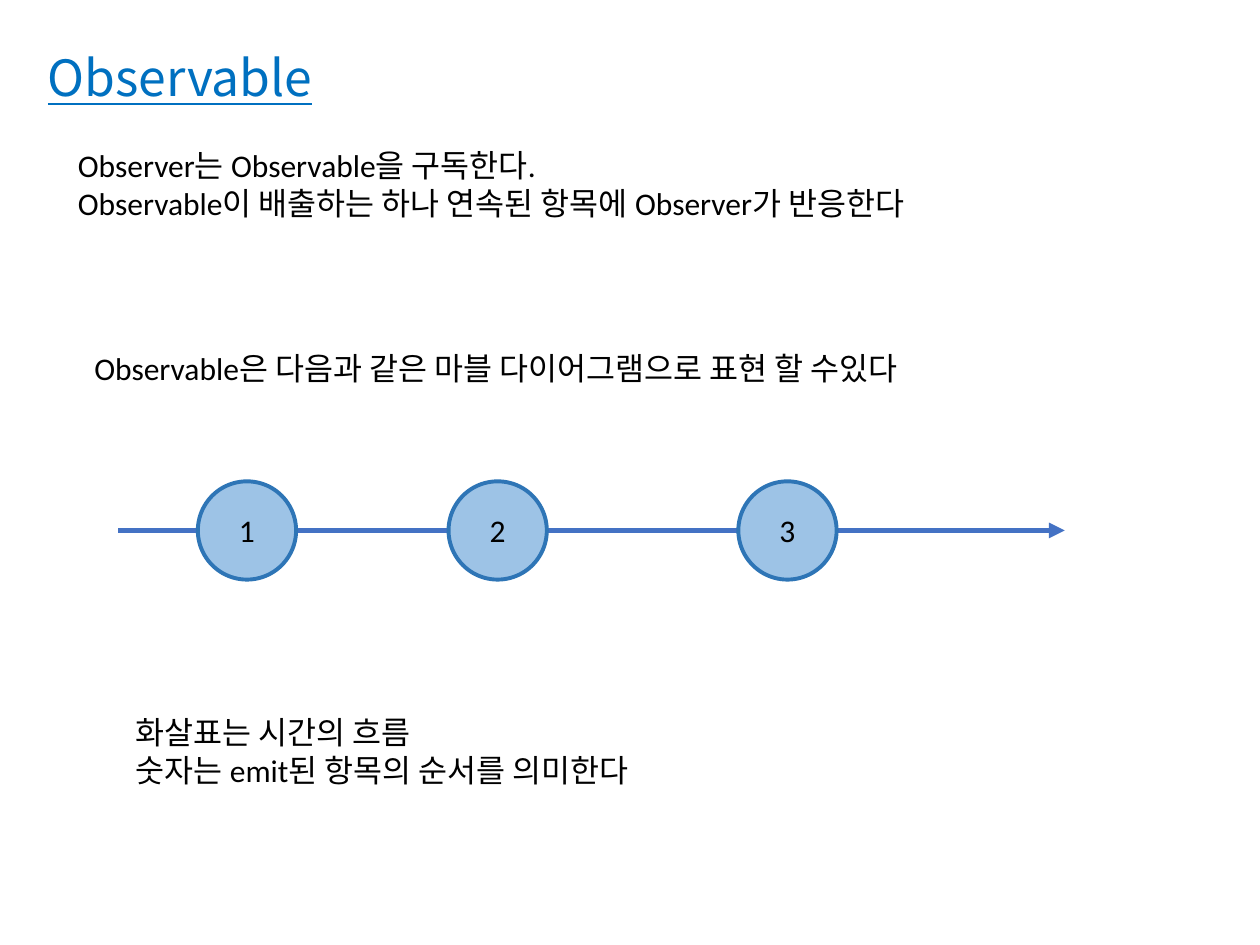
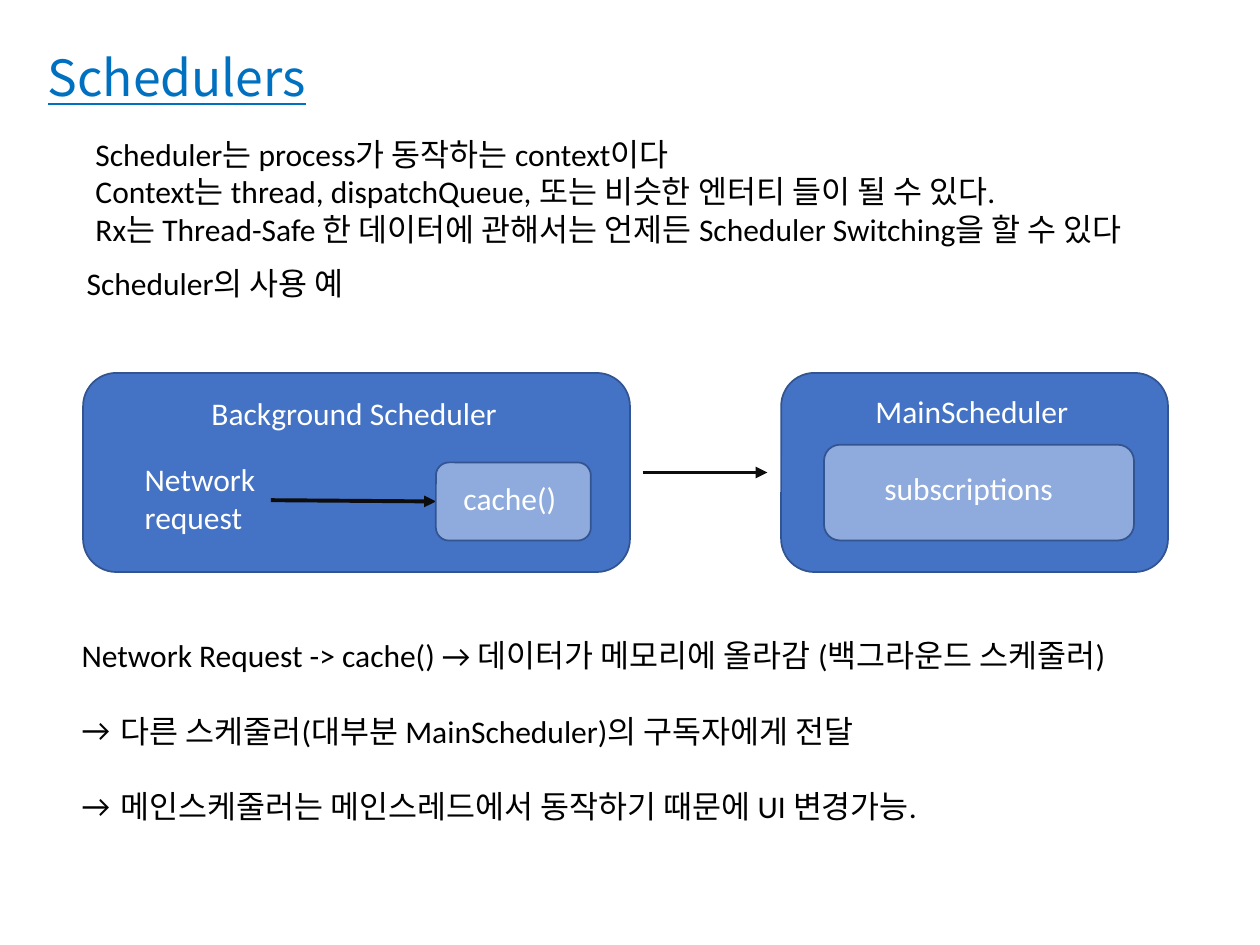
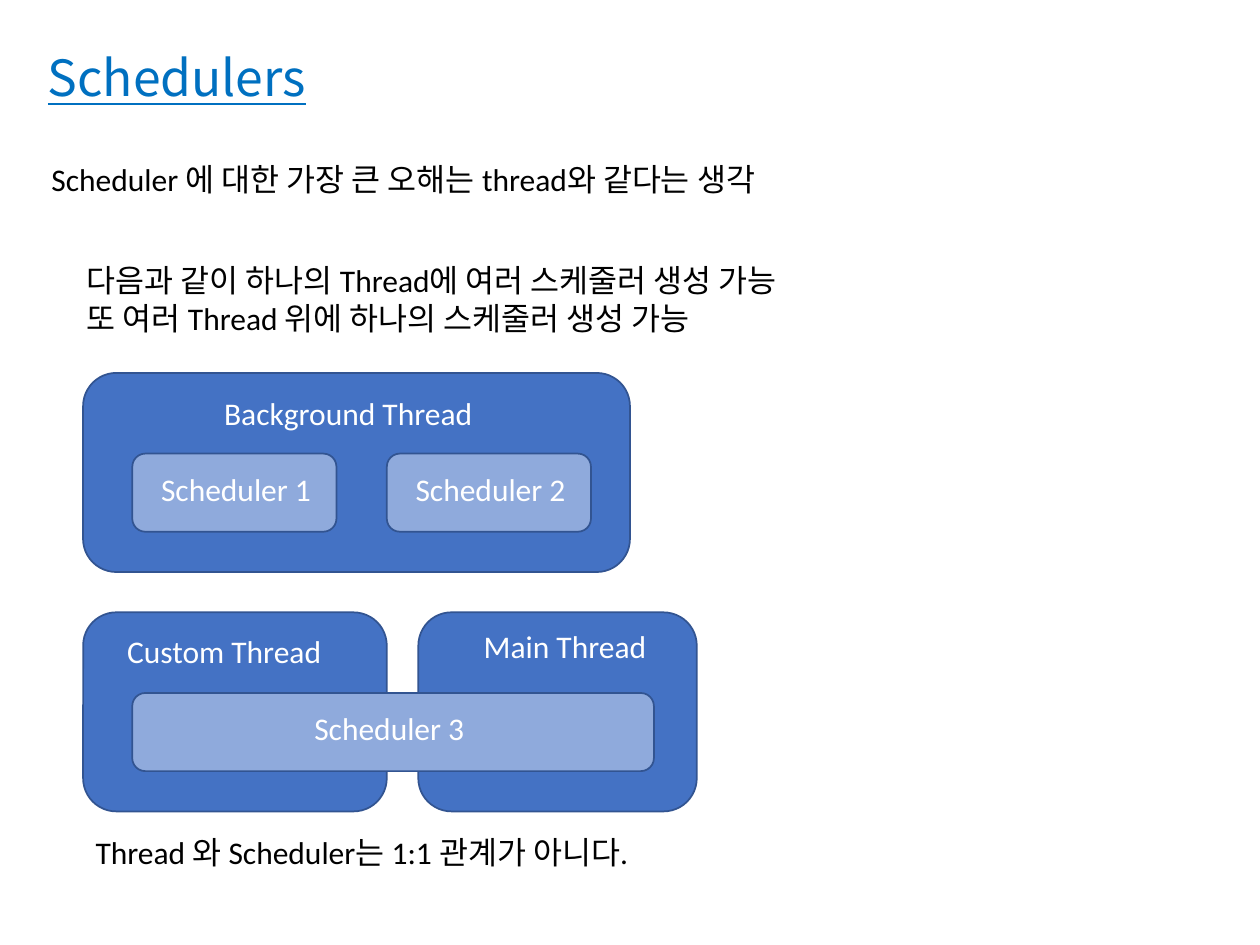
from dataclasses import dataclass
from lxml.etree import SubElement
from pptx import Presentation
from pptx.dml.color import RGBColor
from pptx.enum.shapes import MSO_CONNECTOR, MSO_SHAPE
from pptx.enum.text import MSO_ANCHOR, MSO_AUTO_SIZE, PP_ALIGN
from pptx.oxml.ns import qn
from pptx.util import Inches, Pt


@dataclass(frozen=True)
class Theme:
    """Colours, fonts, type sizes and line widths of the deck."""
    title: str = "0070C0"
    ink: str = "000000"
    light: str = "FFFFFF"
    panel: str = "4472C4"
    inner: str = "8FAADC"
    edge: str = "325491"
    ball: str = "9DC3E6"
    rim: str = "2E75B6"
    arrow: str = "0D0D0D"
    head: str = "Noto Sans CJK KR"
    body: str = "Calibri"
    large: float = 28.5
    base: float = 18
    gap: float = 21.6
    thin: float = 1
    bold: float = 2.25
    thick: float = 3


@dataclass(frozen=True)
class Box:
    """A box measured in grid cells, 100 columns by 75 rows to a slide."""
    x: float
    y: float
    w: float
    h: float

    def cell(self, x, y, w, h):
        """Return a box placed relative to this one."""
        return Box(self.x + x, self.y + y, w, h)

    def size(self):
        """Return left, top, width and height as lengths."""
        return [Inches(n / 10) for n in (self.x, self.y, self.w, self.h)]


LOOK = Theme()
PAGE = Box(0, 0, 100, 75)
LINE, PAIR = 4, 7.1
TALL, SLIM = 15.8, 6.2


def tint(code):
    """Turn a hex code into a colour."""
    return RGBColor.from_string(code)


def bullet(para, mark):
    """Give a paragraph a hanging bullet."""
    props = para._p.get_or_add_pPr()
    props.set("marL", str(Inches(0.31)))
    props.set("indent", str(-Inches(0.31)))
    SubElement(props, qn("a:buFont")).set("typeface", LOOK.body)
    SubElement(props, qn("a:buChar")).set("char", mark)


def write(page, box, words, size=LOOK.base, font=LOOK.body, color=LOOK.ink,
          align=PP_ALIGN.LEFT, under=None, lead=None, gap=0, mark=None):
    """Write lines of text into a box; a mark bullets all but the first."""
    frame = page.shapes.add_textbox(*box.size()).text_frame
    frame.word_wrap = True
    frame.auto_size = MSO_AUTO_SIZE.SHAPE_TO_FIT_TEXT
    for spot, line in enumerate(words.split("\n")):
        para = frame.add_paragraph() if spot else frame.paragraphs[0]
        para.alignment = align
        para.line_spacing = lead
        if spot and gap:
            para.space_before = Pt(gap)
        if spot and mark:
            bullet(para, mark)
        run = para.add_run()
        run.text = line
        run.font.size = Pt(size)
        run.font.name = font
        run.font.underline = under
        run.font.color.rgb = tint(color)
        SubElement(run.font._element, qn("a:ea")).set("typeface", font)
    return frame


def shape(page, box, kind, fill, edge, width):
    """Draw a filled and outlined preset shape."""
    form = page.shapes.add_shape(kind, *box.size())
    form.shadow.inherit = False
    form.fill.solid()
    form.fill.fore_color.rgb = tint(fill)
    form.line.color.rgb = tint(edge)
    form.line.width = Pt(width)


def arrow(page, box, color=LOOK.arrow, width=LOOK.bold):
    """Draw an arrow from the top left to the bottom right of a box."""
    x, y, w, h = box.size()
    wire = page.shapes.add_connector(MSO_CONNECTOR.STRAIGHT, x, y, x + w, y + h)
    wire.line.color.rgb = tint(color)
    wire.line.width = Pt(width)
    SubElement(wire.line._get_or_add_ln(), qn("a:tailEnd")).set("type", "triangle")
    SubElement(wire._element.spPr, qn("a:effectLst"))


def block(page, box, words, label, fill=LOOK.panel, align=PP_ALIGN.LEFT):
    """Draw a round box whose label sits at an offset and width within it."""
    shape(page, box, MSO_SHAPE.ROUNDED_RECTANGLE, fill, LOOK.edge, LOOK.thin)
    left, top, wide = label
    write(page, box.cell(left, top, wide, LINE), words,
          color=LOOK.light, align=align)


def begin(deck, words):
    """Add a blank slide with its title."""
    page = deck.slides.add_slide(deck.slide_layouts[6])
    frame = write(page, PAGE.cell(3.1, 2.5, 90.7, 6.4), words, size=LOOK.large,
                  font=LOOK.head, color=LOOK.title, under=True, lead=0.9)
    frame.auto_size = MSO_AUTO_SIZE.NONE
    frame.vertical_anchor = MSO_ANCHOR.BOTTOM
    frame.margin_left = frame.margin_right = Inches(0.07)
    frame.margin_top = frame.margin_bottom = Inches(0.04)
    return page


def marble(page, box):
    """Draw the time arrow with its numbered marbles."""
    arrow(page, box.cell(0, box.h / 2, box.w, 0), LOOK.panel, LOOK.thick)
    for spot, left in enumerate((6.3, 26.2, 49.2), 1):
        ball = box.cell(left, 0, box.h, box.h)
        shape(page, ball, MSO_SHAPE.OVAL, LOOK.ball, LOOK.rim, LOOK.bold)
        write(page, ball.cell(1.2, 1.9, 5.4, LINE), str(spot),
              align=PP_ALIGN.CENTER)


def fetch(page, box):
    """Draw the background scheduler, which fills the cache."""
    block(page, box, "Background Scheduler", (9.2, 1.2, 24.9))
    write(page, box.cell(3.9, 6.4, 12.1, PAIR), "Network\nrequest",
          color=LOOK.light)
    arrow(page, box.cell(14.9, 10.1, 13.1, 0.1))
    block(page, box.cell(28, 7.1, 12.3, SLIM), "cache()", (1.2, 0.8, 12.1),
          fill=LOOK.inner)


def serve(page, box):
    """Draw the main scheduler with its subscriptions."""
    block(page, box, "MainScheduler", (6.5, 1, 17.6))
    block(page, box.cell(3.4, 5.7, 24.6, 7.6), "subscriptions",
          (3.8, 1.4, 24.2), fill=LOOK.inner)


def shared(page, box):
    """Draw one thread that holds two schedulers."""
    block(page, box, "Background Thread", (10.2, 1.2, 24.9))
    for spot in range(2):
        block(page, box.cell(3.9 + spot * 20.2, 6.4, 16.2, SLIM),
              f"Scheduler {spot + 1}", (1.3, 0.8, 15), fill=LOOK.inner)


def spread(page, box):
    """Draw one scheduler that spans two threads."""
    block(page, box.cell(0, 0, 24.1, box.h), "Custom Thread", (2.5, 1.1, 24.9))
    block(page, box.cell(26.6, 0, 22.1, box.h), "Main Thread", (4.2, 0.7, 24.9))
    block(page, box.cell(3.9, 6.4, 41.4, SLIM), "Scheduler 3",
          (1.3, 0.8, 38.2), fill=LOOK.inner, align=PP_ALIGN.CENTER)


def observe(deck):
    """Build the slide on observables."""
    page = begin(deck, "Observable")
    write(page, PAGE.cell(5.2, 11.1, 88.7, PAIR),
          "Observer는 Observable을 구독한다.\n"
          "Observable이 배출하는 하나 연속된 항목에 Observer가 반응한다")
    write(page, PAGE.cell(6.5, 27.2, 84.1, LINE),
          "Observable은 다음과 같은 마블 다이어그램으로 표현 할 수있다")
    marble(page, PAGE.cell(9.4, 38.2, 75.1, 7.8))
    write(page, PAGE.cell(9.8, 56.1, 69.2, PAIR),
          "화살표는 시간의 흐름\n숫자는 emit된 항목의 순서를 의미한다")


def switch(deck):
    """Build the slide on how work moves between schedulers."""
    page = begin(deck, "Schedulers")
    write(page, PAGE.cell(6.6, 10.2, 93.4, 10),
          "Scheduler는 process가 동작하는 context이다\n"
          "Context는 thread, dispatchQueue, 또는 비슷한 엔터티 들이 될 수 있다.\n"
          "Rx는 Thread-Safe 한 데이터에 관해서는 언제든 "
          "Scheduler Switching을 할 수 있다")
    write(page, PAGE.cell(5.9, 20.5, 33.3, LINE), "Scheduler의 사용 예")
    fetch(page, PAGE.cell(6.6, 29.6, 43.4, TALL))
    arrow(page, PAGE.cell(51, 37.5, 9.9, 0))
    serve(page, PAGE.cell(62, 29.6, 30.7, TALL))
    write(page, PAGE.cell(5.5, 50, 90.7, 16.2),
          "Network Request -> cache() → 데이터가 메모리에 올라감 (백그라운드 스케줄러)\n"
          "다른 스케줄러(대부분 MainScheduler)의 구독자에게 전달\n"
          "메인스케줄러는 메인스레드에서 동작하기 때문에 UI 변경가능.",
          gap=LOOK.gap, mark="→")


def compare(deck):
    """Build the slide that tells threads and schedulers apart."""
    page = begin(deck, "Schedulers")
    write(page, PAGE.cell(3.1, 12.2, 77.8, LINE),
          "Scheduler 에 대한 가장 큰 오해는 thread와 같다는 생각")
    write(page, PAGE.cell(5.9, 20.2, 65.8, PAIR),
          "다음과 같이 하나의 Thread에 여러 스케줄러 생성 가능\n"
          "또 여러 Thread 위에 하나의 스케줄러 생성 가능")
    shared(page, PAGE.cell(6.6, 29.6, 43.4, TALL))
    spread(page, PAGE.cell(6.6, 48.6, 48.7, TALL))
    write(page, PAGE.cell(6.6, 65.6, 65.8, LINE),
          "Thread 와 Scheduler는 1:1 관계가 아니다.")


def main():
    """Build and save the deck."""
    deck = Presentation()
    deck.slide_width, deck.slide_height = PAGE.size()[2:]
    for build in (observe, switch, compare):
        build(deck)
    deck.save("out.pptx")


main()
